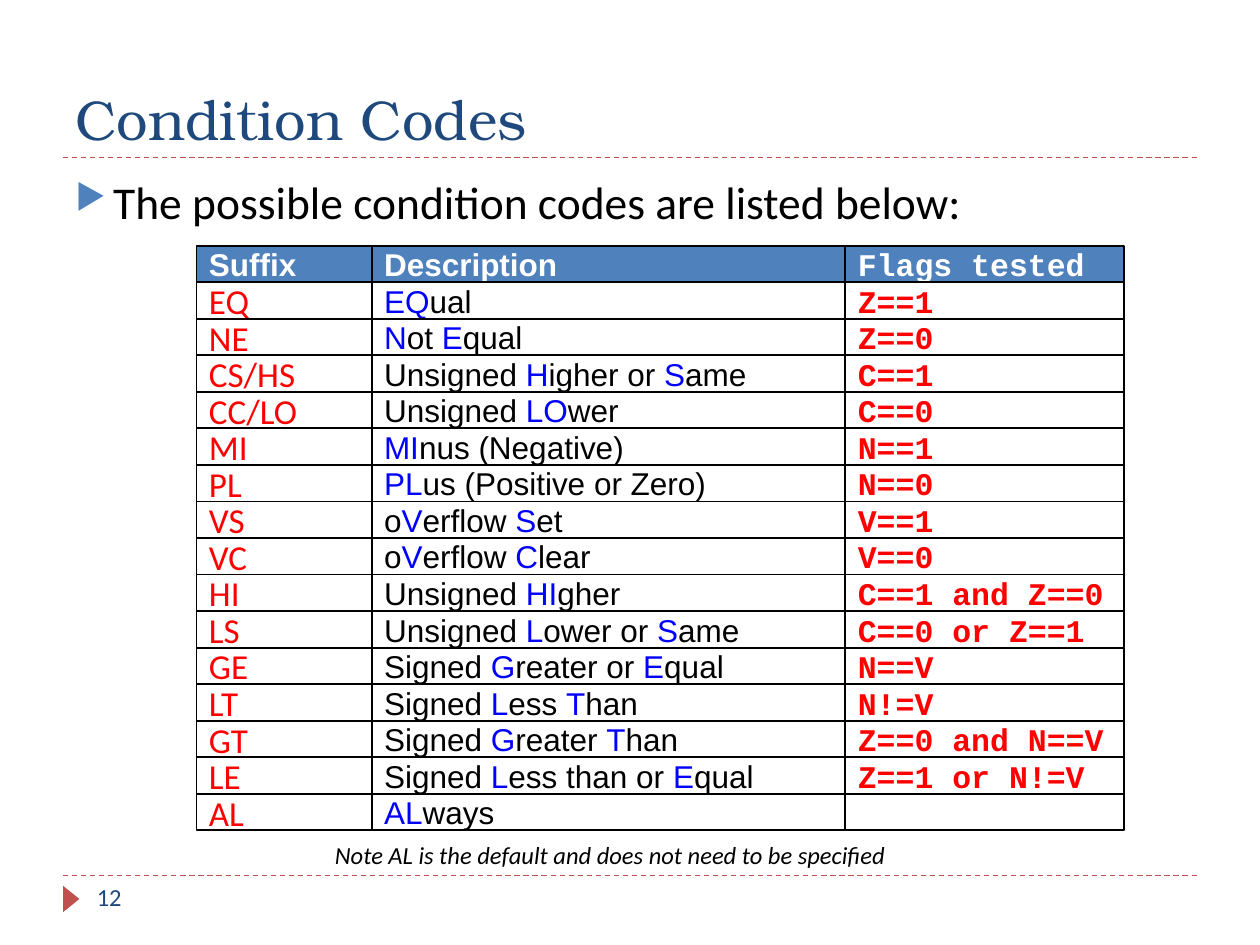
from itertools import accumulate

from lxml import etree
from pptx import Presentation
from pptx.dml.color import RGBColor
from pptx.enum.dml import MSO_LINE
from pptx.enum.shapes import MSO_CONNECTOR, MSO_SHAPE
from pptx.enum.text import MSO_ANCHOR, PP_ALIGN
from pptx.oxml.ns import qn
from pptx.util import Inches, Pt

STRAIGHT = MSO_CONNECTOR.STRAIGHT
TRIANGLE, RECTANGLE = MSO_SHAPE.ISOSCELES_TRIANGLE, MSO_SHAPE.RECTANGLE
DASH = MSO_LINE.DASH
TOP, MIDDLE, BOTTOM = MSO_ANCHOR.TOP, MSO_ANCHOR.MIDDLE, MSO_ANCHOR.BOTTOM
LEFT = PP_ALIGN.LEFT

BLACK, WHITE, RED, BLUE = "000000", "FFFFFF", "FF0000", "0000FF"
NAVY, ACCENT, BRICK = "1F497D", "4F81BD", "C0504D"

HEADER = ("Suffix", "Description", "Flags tested")
CODES = [
    ("EQ", "|EQ|ual", "Z==1"),
    ("NE", "|N|ot |E|qual", "Z==0"),
    ("CS/HS", "Unsigned |H|igher or |S|ame", "C==1"),
    ("CC/LO", "Unsigned |LO|wer", "C==0"),
    ("MI", "|MI|nus (Negative)", "N==1"),
    ("PL", "|PL|us (Positive or Zero)", "N==0"),
    ("VS", "o|V|erflow |S|et", "V==1"),
    ("VC", "o|V|erflow |C|lear", "V==0"),
    ("HI", "Unsigned |HI|gher", "C==1 and Z==0"),
    ("LS", "Unsigned |L|ower or |S|ame", "C==0 or Z==1"),
    ("GE", "Signed |G|reater or |E|qual", "N==V"),
    ("LT", "Signed |L|ess |T|han", "N!=V"),
    ("GT", "Signed |G|reater |T|han", "Z==0 and N==V"),
    ("LE", "Signed |L|ess than or |E|qual", "Z==1 or N!=V"),
    ("AL", "|AL|ways", ""),
]
GRID_LEFT, GRID_TOP, ROW_HEIGHT = 1.56, 1.95, 0.29
COLUMN_WIDTHS = (1.39, 3.76, 2.21)
HEADER_FONTS = ("Arial", "Arial", "Courier New")


def rgb(color):
    """Turn a hex string into a colour."""
    return RGBColor.from_string(color)


def add_run(p, text, size, font, color, bold=False, italic=False):
    """Append one formatted run to a paragraph."""
    r = p.add_run()
    r.text = text
    r.font.size = Pt(size)
    r.font.name = font
    r.font.bold = bold
    r.font.italic = italic
    r.font.color.rgb = rgb(color)


def add_text(s, box, text, size, font, color, anchor=TOP, italic=False):
    """Add a one-paragraph text box and return its paragraph."""
    tf = s.shapes.add_textbox(*map(Inches, box)).text_frame
    tf.word_wrap = True
    tf.vertical_anchor = anchor
    p = tf.paragraphs[0]
    add_run(p, text, size, font, color, italic=italic)
    return p


def set_indent(p, left, first=0):
    """Set the left margin and first-line indent of a paragraph."""
    pPr = p._p.get_or_add_pPr()
    pPr.set("marL", str(Inches(left)))
    pPr.set("indent", str(Inches(first)))
    return pPr


def add_bullet(p, char, color, percent):
    """Give a paragraph a coloured hanging bullet."""
    pPr = set_indent(p, 0.3, -0.3)
    bu_color = etree.SubElement(pPr, qn("a:buClr"))
    etree.SubElement(bu_color, qn("a:srgbClr"), val=color)
    etree.SubElement(pPr, qn("a:buSzPct"), val=str(percent * 1000))
    etree.SubElement(pPr, qn("a:buFont"), typeface="OpenSymbol")
    etree.SubElement(pPr, qn("a:buChar"), char=char)


def add_rule(s, y):
    """Draw a dashed rule across the slide."""
    c = s.shapes.add_connector(STRAIGHT, Inches(0.5), Inches(y), Inches(9.5), Inches(y))
    c.line.color.rgb = rgb(BRICK)
    c.line.width = Pt(0.75)
    c.line.dash_style = DASH
    etree.SubElement(c._element.spPr, qn("a:effectLst"))


def add_shape(s, kind, box, fill=None, line=None):
    """Add a preset shape with an optional fill and outline."""
    sp = s.shapes.add_shape(kind, *map(Inches, box))
    sp.shadow.inherit = False
    if fill:
        sp.fill.solid()
        sp.fill.fore_color.rgb = rgb(fill)
    else:
        sp.fill.background()
    if line:
        sp.line.color.rgb = rgb(line)
        sp.line.width = Pt(1)
    else:
        sp.line.fill.background()
    return sp


def add_cell(s, row, column, text, size, font, color, bold=False, fill=None):
    """Add one grid cell, with the parts between bars in blue."""
    left = tuple(accumulate(COLUMN_WIDTHS, initial=GRID_LEFT))[column]
    box = (left, GRID_TOP + row * ROW_HEIGHT, COLUMN_WIDTHS[column], ROW_HEIGHT)
    tf = add_shape(s, RECTANGLE, box, fill, BLACK).text_frame
    tf.word_wrap = False
    tf.vertical_anchor = MIDDLE
    p = tf.paragraphs[0]
    p.alignment = LEFT
    for i, part in enumerate(text.split("|")):
        if part:
            add_run(p, part, size, font, BLUE if i % 2 else color, bold)


def add_code_grid(s):
    """Add the grid of condition codes."""
    for column, (text, font) in enumerate(zip(HEADER, HEADER_FONTS)):
        add_cell(s, 0, column, text, 18, font, WHITE, True, ACCENT)
    for row, (suffix, description, flags) in enumerate(CODES, 1):
        add_cell(s, row, 0, suffix, 20, "Calibri", RED)
        add_cell(s, row, 1, description, 18, "Arial", BLACK)
        add_cell(s, row, 2, flags, 18, "Courier New", RED, True)


def main():
    """Build the slide and save it."""
    prs = Presentation()
    prs.slide_width, prs.slide_height = Inches(10), Inches(7.5)
    s = prs.slides.add_slide(prs.slide_layouts[6])
    for y in (6.95, 1.25):
        add_rule(s, y)
    add_shape(s, TRIANGLE, (0.46, 7.07, 0.21, 0.13), BRICK).rotation = 90
    add_text(s, (0.5, 0.17, 9, 1.08), "Condition Codes", 32, "TeX Gyre Bonum", NAVY, BOTTOM)
    p = add_text(s, (0.5, 1.33, 9, 5.4), "The possible condition codes are listed below:",
                 26, "Calibri", BLACK)
    add_bullet(p, "▶", ACCENT, 76)
    add_code_grid(s)
    add_text(s, (0.67, 6.95, 2.17, 0.4), "12", 14, "Calibri", NAVY)
    p = add_text(s, (1.56, 6.62, 7.03, 0.34),
                 "Note AL is the default and does not need to be specified",
                 14, "Calibri", BLACK, italic=True)
    set_indent(p, 1)
    prs.save("out.pptx")


if __name__ == "__main__":
    main()
